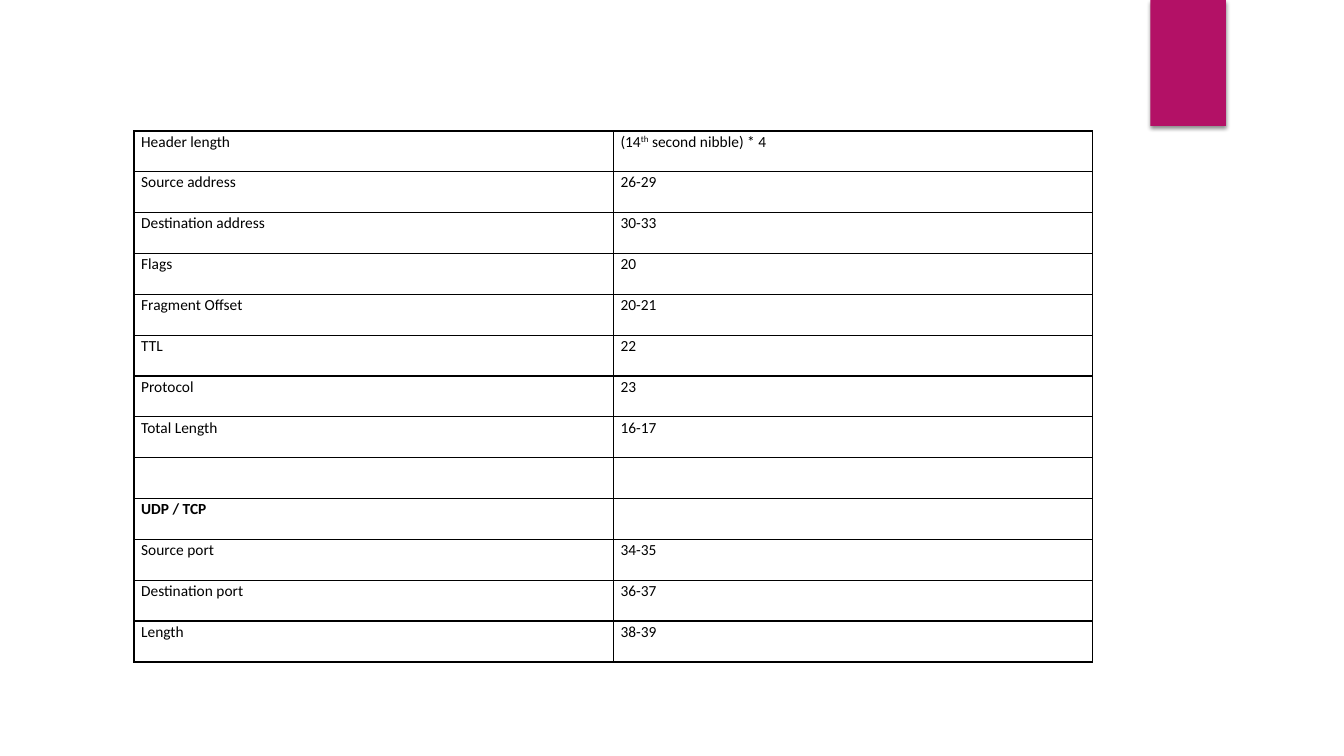
from dataclasses import dataclass

from lxml import etree
from pptx import Presentation
from pptx.dml.color import RGBColor
from pptx.enum import shapes
from pptx.oxml import ns
from pptx.slide import Slide
from pptx.table import _Cell as Cell
from pptx.util import Inches, Pt

BLACK = RGBColor(0x00, 0x00, 0x00)
MAGENTA = RGBColor(0xB3, 0x11, 0x66)
FONT_NAME = "Calibri"
TABLE_WIDTH = 9.51
TABLE_HEIGHT = 5.27


@dataclass(frozen=True)
class Field:
    name: str = ""
    position: str = ""
    superscript: str = ""
    remainder: str = ""
    bold: bool = False


FIELDS = [
    Field("Header length", "(14", "th", " second nibble) * 4"),
    Field("Source address", "26-29"),
    Field("Destination address", "30-33"),
    Field("Flags", "20"),
    Field("Fragment Offset", "20-21"),
    Field("TTL", "22"),
    Field("Protocol", "23"),
    Field("Total Length", "16-17"),
    Field(),
    Field("UDP / TCP", bold=True),
    Field("Source port", "34-35"),
    Field("Destination port", "36-37"),
    Field("Length", "38-39"),
]


def add_element(parent: etree._Element, tag: str, **attributes: str) -> etree._Element:
    return etree.SubElement(parent, ns.qn(tag), attributes)


def add_banner(slide: Slide) -> None:
    shape = slide.shapes.add_shape(
        shapes.MSO_SHAPE.RECTANGLE, Inches(11.41), 0, Inches(0.75), Inches(1.25)
    )
    shape.fill.solid()
    shape.fill.fore_color.rgb = MAGENTA
    shape.line.fill.background()
    shape.shadow.inherit = False
    effects = shape._element.spPr.find(ns.qn("a:effectLst"))
    shadow = add_element(
        effects, "a:outerShdw", blurRad=str(Pt(3)), dist=str(Pt(2)),
        dir="5400000", rotWithShape="0",
    )
    color = add_element(shadow, "a:srgbClr", val=str(BLACK))
    add_element(color, "a:alpha", val="45000")


def add_borders(cell: Cell) -> None:
    properties = cell._tc.get_or_add_tcPr()
    for side in ("a:lnL", "a:lnR", "a:lnT", "a:lnB"):
        border = add_element(properties, side, w=str(Pt(1)))
        fill = add_element(border, "a:solidFill")
        add_element(fill, "a:srgbClr", val=str(BLACK))


def fill_cell(cell: Cell, content: str, bold: bool = False) -> None:
    add_borders(cell)
    cell.fill.background()
    cell.margin_left = cell.margin_right = Inches(0.07)
    cell.margin_top = cell.margin_bottom = 0
    paragraph = cell.text_frame.paragraphs[0]
    paragraph.line_spacing = 1.07
    paragraph.font.name = FONT_NAME
    paragraph.font.size = Pt(11)
    paragraph.font.bold = bold
    paragraph.font.color.rgb = BLACK
    if content:
        paragraph.add_run().text = content


def add_superscript(cell: Cell, superscript: str, remainder: str) -> None:
    paragraph = cell.text_frame.paragraphs[0]
    run = paragraph.add_run()
    run.text = superscript
    run._r.get_or_add_rPr().set("baseline", "30000")
    paragraph.add_run().text = remainder


def add_field_table(slide: Slide, fields: list[Field]) -> None:
    table = slide.shapes.add_table(
        len(fields), 2, Inches(1.33), Inches(1.3),
        Inches(TABLE_WIDTH), Inches(TABLE_HEIGHT),
    ).table
    table.first_row = False
    table.horz_banding = False
    for row, field in enumerate(fields):
        fill_cell(table.cell(row, 0), field.name, field.bold)
        position_cell = table.cell(row, 1)
        fill_cell(position_cell, field.position)
        if field.superscript:
            add_superscript(position_cell, field.superscript, field.remainder)


def main() -> None:
    presentation = Presentation()
    presentation.slide_width = Inches(13.33)
    presentation.slide_height = Inches(7.5)
    slide = presentation.slides.add_slide(presentation.slide_layouts[6])
    add_banner(slide)
    add_field_table(slide, FIELDS)
    presentation.save("out.pptx")


if __name__ == "__main__":
    main()
